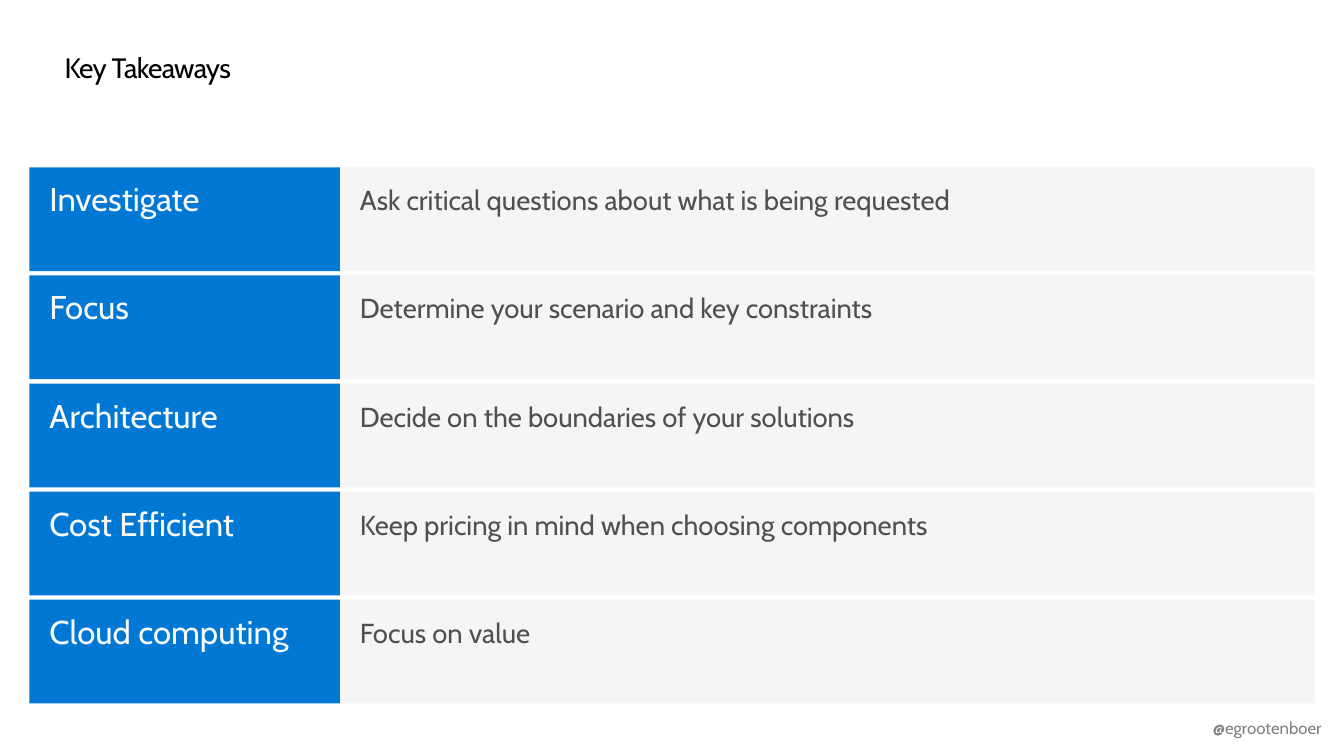
from lxml.etree import SubElement
from pptx import Presentation
from pptx.dml.color import RGBColor
from pptx.enum.shapes import MSO_SHAPE
from pptx.enum.text import MSO_ANCHOR, PP_ALIGN
from pptx.oxml.ns import qn
from pptx.util import Inches, Pt

COLORS = {
    "label": "0078D4",
    "label_text": "F8F8F8",
    "detail": "F2F2F2",
    "detail_text": "505050",
    "title": "000000",
    "handle": "808080",
}
FONT = "Cabin"
INSETS = (0.2, 0.16)
TAKEAWAYS = [
    ("Investigate", "Ask critical questions about what is being requested"),
    ("Focus", "Determine your scenario and key constraints"),
    ("Architecture", "Decide on the boundaries of your solutions"),
    ("Cost Efficient", "Keep pricing in mind when choosing components"),
    ("Cloud computing", "Focus on value"),
]
ROW_HEIGHT = 1.03
LABEL_WIDTH = 3.08


def write_text(shape, text, size, color, insets=INSETS, line_spacing=1.0, tracking=None):
    """Fill a shape with one left-aligned, top-anchored line; tracking is in points."""
    frame = shape.text_frame
    frame.word_wrap = True
    frame.vertical_anchor = MSO_ANCHOR.TOP
    frame.margin_left = frame.margin_right = Inches(insets[0])
    frame.margin_top = frame.margin_bottom = Inches(insets[1])
    para = frame.paragraphs[0]
    para.alignment = PP_ALIGN.LEFT
    para.line_spacing = line_spacing
    para.space_before = Pt(0)
    span = para.add_run()
    span.text = text
    span.font.name = FONT
    span.font.size = Pt(size)
    span.font.color.rgb = RGBColor.from_string(COLORS[color])
    if tracking is not None:
        span.font._element.set("spc", str(int(tracking * 100)))


def add_panel(page, left, top, width, height, color, opacity=None):
    """Add a borderless rectangle; opacity is a percentage."""
    panel = page.shapes.add_shape(
        MSO_SHAPE.RECTANGLE, Inches(left), Inches(top), Inches(width), Inches(height)
    )
    panel.shadow.inherit = False
    panel.line.fill.background()
    panel.fill.solid()
    panel.fill.fore_color.rgb = RGBColor.from_string(COLORS[color])
    if opacity is not None:
        color_element = panel._element.spPr.find(qn("a:solidFill"))[0]
        SubElement(color_element, qn("a:alpha"), val=str(opacity * 1000))
    return panel


def add_title(page, left, top, width, height):
    title = page.shapes.title
    title.left, title.top = Inches(left), Inches(top)
    title.width, title.height = Inches(width), Inches(height)
    write_text(title, "Key Takeaways", size=20, color="title", insets=(0, 0), tracking=-0.5)


def add_takeaways(page, left, top, width, height):
    """Spread the label and detail rows evenly over the box."""
    pitch = (height - ROW_HEIGHT) / (len(TAKEAWAYS) - 1)
    for index, (label, detail) in enumerate(TAKEAWAYS):
        row_top = top + index * pitch
        detail_panel = add_panel(
            page, left + LABEL_WIDTH, row_top, width - LABEL_WIDTH, ROW_HEIGHT,
            "detail", opacity=75,
        )
        write_text(detail_panel, detail, size=19.6, color="detail_text")
        label_panel = add_panel(page, left, row_top, LABEL_WIDTH, ROW_HEIGHT, "label")
        write_text(label_panel, label, size=23.5, color="label_text", line_spacing=0.9)


def add_handle(page, left, top, width, height):
    box = page.shapes.add_textbox(Inches(left), Inches(top), Inches(width), Inches(height))
    write_text(box, "@egrootenboer", size=12, color="handle", line_spacing=0.9)


def main():
    deck = Presentation()
    deck.slide_width, deck.slide_height = Inches(13.33), Inches(7.5)
    page = deck.slides.add_slide(deck.slide_layouts.get_by_name("Title Only"))
    add_handle(page, 11.83, 7.05, 1.59, 0.5)
    add_title(page, 0.64, 0.5, 12.05, 0.34)
    add_takeaways(page, 0.29, 1.66, 12.75, 5.32)
    deck.save("out.pptx")


if __name__ == "__main__":
    main()
